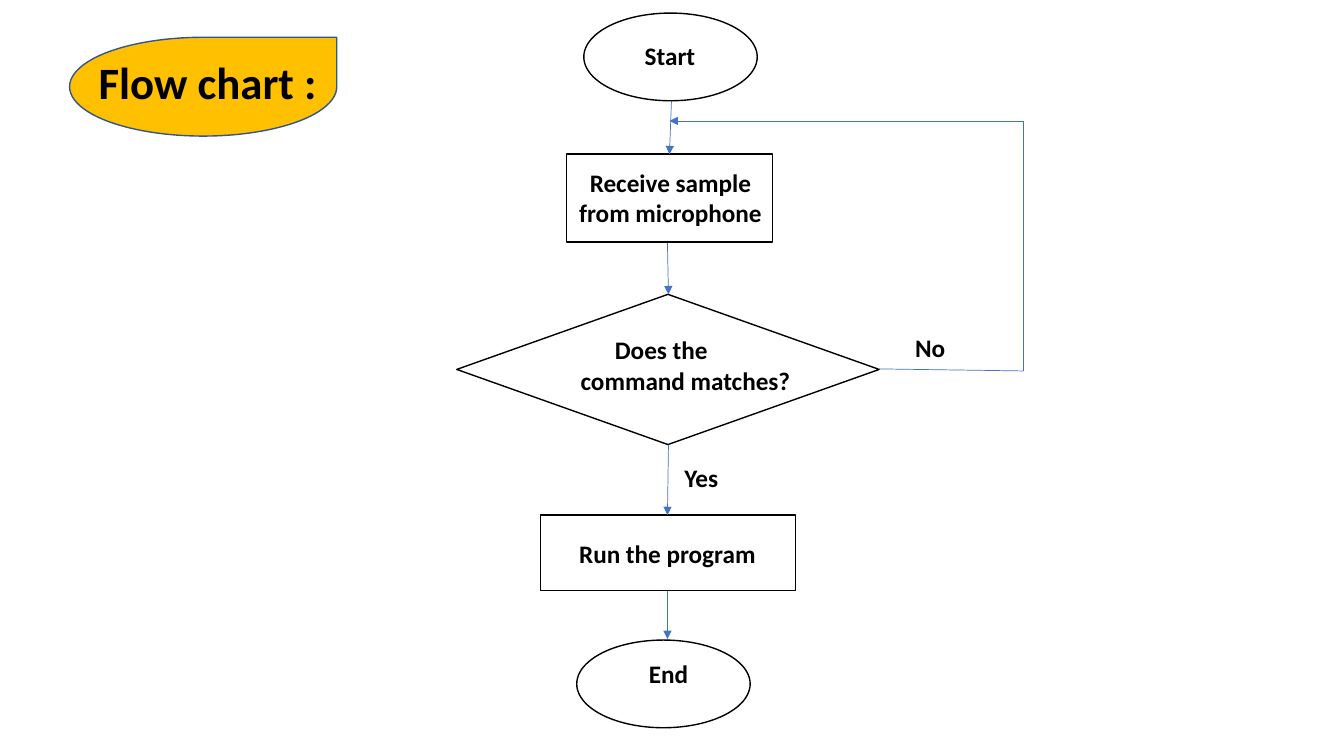
from lxml import etree
from pptx import Presentation
from pptx import util as u
from pptx.dml.color import RGBColor
from pptx.enum import shapes, text
from pptx.oxml.ns import qn

COLORS = {"ink": "000000", "paper": "FFFFFF", "arrow": "4472C4",
          "accent": "FFC000", "accent_edge": "325491"}
FONT = "Calibri"


def color(name):
    return RGBColor.from_string(COLORS[name])


def write(frame, content, size=18, align=text.PP_ALIGN.CENTER, spacing=None, indents=()):
    """Fill a text frame, one paragraph per line; indents are left margins in inches."""
    frame.word_wrap = True
    for index, line in enumerate(content.split("\n")):
        para = frame.paragraphs[0] if index == 0 else frame.add_paragraph()
        para.alignment = align
        if spacing:
            para.line_spacing = spacing
        if indents:
            para._p.get_or_add_pPr().set("marL", str(u.Inches(indents[index])))
        span = para.add_run()
        span.text = line
        span.font.name = FONT
        span.font.size = u.Pt(size)
        span.font.bold = True
        span.font.color.rgb = color("ink")


class FlowChart:
    """Holds the current slide and the style of its elements."""

    def __init__(self, page):
        self.page = page

    def title(self, content, *place):
        box = self.page.shapes.title
        box.left, box.top, box.width, box.height = map(u.Inches, place)
        frame = box.text_frame
        frame.auto_size = text.MSO_AUTO_SIZE.NONE
        frame.vertical_anchor = text.MSO_ANCHOR.MIDDLE
        write(frame, content, size=32, spacing=0.9)
        box.element.getparent().append(box.element)  # above the badge

    def node(self, kind, *place, fill="paper", edge="ink"):
        box = self.page.shapes.add_shape(kind, *map(u.Inches, place))
        box.shadow.inherit = False
        box.fill.solid()
        box.fill.fore_color.rgb = color(fill)
        box.line.color.rgb = color(edge)
        box.line.width = u.Pt(1)

    def label(self, content, *place, **style):
        box = self.page.shapes.add_textbox(*map(u.Inches, place))
        write(box.text_frame, content, **style)
        box.text_frame.auto_size = text.MSO_AUTO_SIZE.SHAPE_TO_FIT_TEXT

    def link(self, start, end, arrow=True):
        line = self.page.shapes.add_connector(
            shapes.MSO_CONNECTOR.STRAIGHT, *map(u.Inches, start + end))
        line.line.color.rgb = color("arrow")
        line.line.width = u.Pt(0.5)
        if arrow:
            outline = line.line._get_or_add_ln()
            etree.SubElement(outline, qn("a:tailEnd"), type="triangle")
        etree.SubElement(line.element.spPr, qn("a:effectLst"))


def main():
    deck = Presentation()
    deck.slide_width, deck.slide_height = u.Inches(13.33), u.Inches(7.5)
    chart = FlowChart(deck.slides.add_slide(deck.slide_layouts.get_by_name("Title Only")))
    kinds = shapes.MSO_SHAPE

    for kind, *place in [
        (kinds.OVAL, 5.79, 0.13, 1.72, 0.87),
        (kinds.RECTANGLE, 5.62, 1.53, 2.04, 0.87),
        (kinds.FLOWCHART_DECISION, 4.53, 2.92, 4.19, 1.49),
        (kinds.RECTANGLE, 5.36, 5.11, 2.53, 0.75),
        (kinds.OVAL, 5.72, 6.35, 1.72, 0.87),
    ]:
        chart.node(kind, *place)

    for start, end in [
        ((6.66, 1), (6.64, 1.53)),
        ((6.62, 2.41), (6.63, 2.92)),
        ((6.63, 4.41), (6.62, 5.11)),
        ((6.62, 5.86), (6.62, 6.34)),
    ]:
        chart.link(start, end)

    loop = [(8.72, 3.66), (10.15, 3.68), (10.15, 1.2), (6.64, 1.2)]
    for start, end in zip(loop, loop[1:]):
        chart.link(start, end, arrow=end == loop[-1])

    for content, *place in [
        ("Start", 5.91, 0.35, 1.47, 0.4),
        ("Receive sample from microphone", 5.63, 1.61, 2.04, 0.71),
        ("No", 8.73, 3.25, 0.99, 0.4),
        ("Yes", 6.47, 4.54, 0.97, 0.4),
        ("Run the program", 5.45, 5.29, 2.34, 0.4),
        ("End", 6.09, 6.48, 1.08, 0.4),
    ]:
        chart.label(content, *place)
    chart.label("Does the\ncommand matches?", 5.27, 3.27, 2.73, 0.71,
                align=text.PP_ALIGN.LEFT, indents=(0.73, 0.39))

    chart.node(kinds.TEAR, 0.69, 0.37, 2.65, 0.98, fill="accent", edge="accent_edge")
    chart.title("Flow chart :", -0.11, 0.35, 4.34, 0.98)
    deck.save("out.pptx")


if __name__ == "__main__":
    main()
